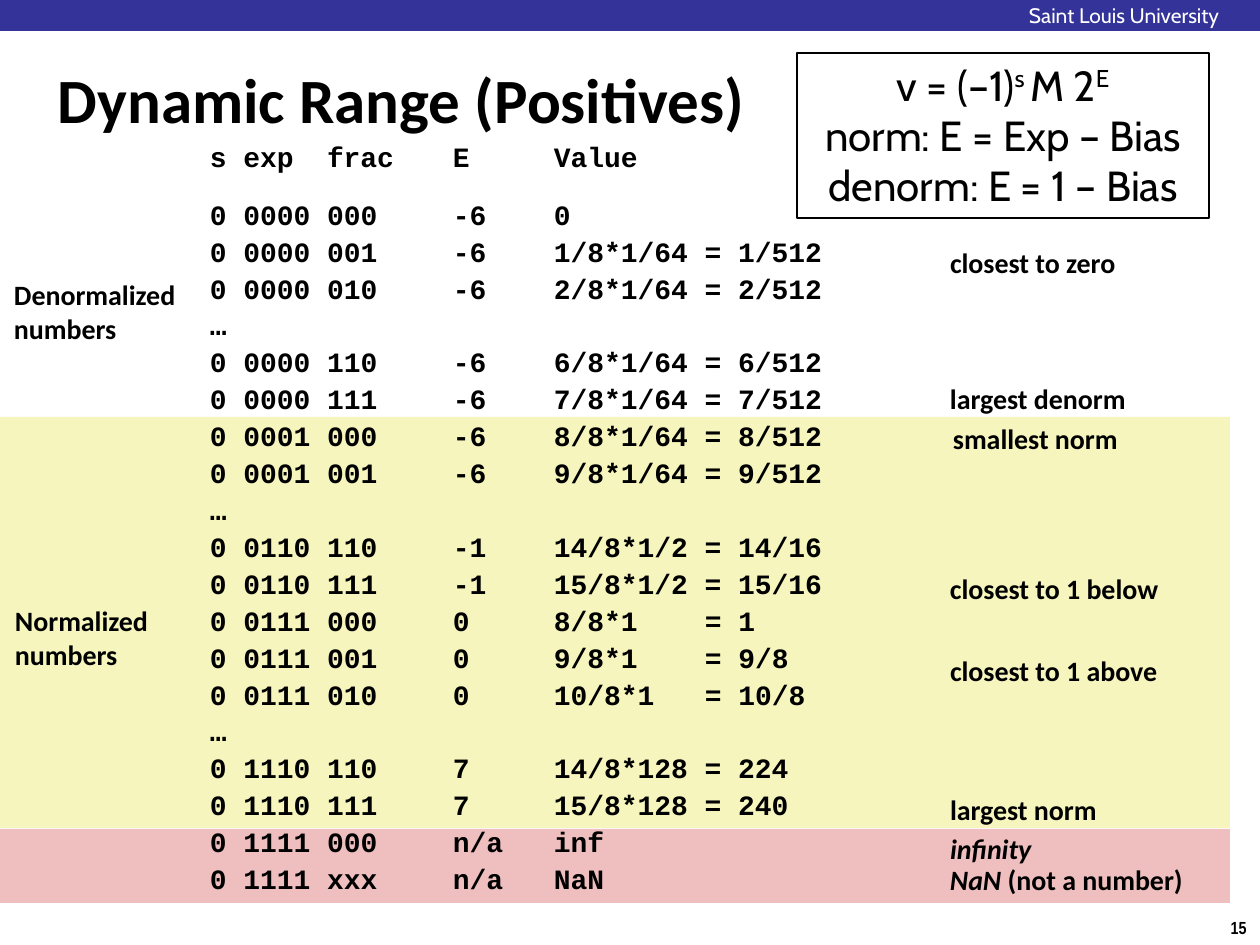
"""Build the slide on the dynamic range of positive floating-point values."""
from lxml.etree import SubElement
from pptx import Presentation
from pptx.dml.color import RGBColor
from pptx.enum.shapes import MSO_SHAPE
from pptx.enum.text import MSO_ANCHOR, MSO_AUTO_SIZE, PP_ALIGN
from pptx.oxml.ns import qn
from pptx.util import Pt

PX = 914400 // 126
COLORS = {"header": "333399", "special": "EFBFBF", "normalized": "F6F5BD",
          "text": "000000", "light": "FFFFFF"}
BANDS = [("header", (0, 0, 1261, 31)),
         ("special", (0, 829, 1230, 74)),
         ("normalized", (0, 417, 1230, 411))]
ROWS = [
    "s exp\tfrac\tE\tValue",
    "0 0000 000\t-6\t0",
    "0 0000 001\t-6\t1/8*1/64 = 1/512",
    "0 0000 010\t-6\t2/8*1/64 = 2/512",
    "…",
    "0 0000 110\t-6\t6/8*1/64 = 6/512",
    "0 0000 111\t-6\t7/8*1/64 = 7/512",
    "0 0001 000\t-6\t8/8*1/64 = 8/512",
    "0 0001 001\t-6\t9/8*1/64 = 9/512",
    "…",
    "0 0110 110\t-1\t14/8*1/2 = 14/16",
    "0 0110 111\t-1\t15/8*1/2 = 15/16",
    "0 0111 000\t0\t8/8*1\t= 1",
    "0 0111 001\t0\t9/8*1\t= 9/8",
    "0 0111 010\t0\t10/8*1\t= 10/8",
    "…",
    "0 1110 110\t7\t14/8*128 = 224",
    "0 1110 111\t7\t15/8*128 = 240",
    "0 1111 000\tn/a\tinf",
    "0 1111 xxx\tn/a\tNaN",
]
TAB_STOPS = [117, 243, 344, 495]
LABELS = [
    ("closest to zero", (945, 241, 209, 44)),
    ("largest denorm", (945, 376, 215, 44)),
    ("smallest norm", (948, 417, 203, 44)),
    ("closest to 1 below", (945, 567, 255, 44)),
    ("closest to 1 above", (945, 649, 256, 44)),
    ("largest norm", (945, 788, 181, 44)),
    ("Denormalized\nnumbers", (9, 273, 195, 78)),
    ("Normalized\nnumbers", (10, 599, 163, 78)),
    ("infinity", (945, 827, 93, 44)),
    ("NaN", (945, 858, 252, 44)),
]
ITALIC_LABELS = {"infinity", "NaN"}
FORMULA = [[("v = (–1)", False), ("s ", True), ("M 2", False), ("E", True)],
           [("norm: E = Exp – Bias", False)],
           [("denorm: E = 1 – Bias", False)]]


def scaled(box):
    return [length * PX for length in box]


def set_insets(frame, inset):
    frame.margin_left = frame.margin_right = inset * PX
    frame.margin_top = frame.margin_bottom = inset * PX


def format_runs(frame, font_name, size, color="text", bold=False, italic=False):
    for paragraph in frame.paragraphs:
        for run in paragraph.runs:
            run.font.name = font_name
            run.font.size = Pt(size)
            run.font.bold = bold
            run.font.italic = italic
            run.font.color.rgb = RGBColor.from_string(COLORS[color])


def add_text(slide, text, box, inset=0, wrap=True):
    frame = slide.shapes.add_textbox(*scaled(box)).text_frame
    frame.word_wrap = wrap
    set_insets(frame, inset)
    frame.text = text
    return frame


def add_rectangle(slide, box, fill=None):
    shape = slide.shapes.add_shape(MSO_SHAPE.RECTANGLE, *scaled(box))
    shape.shadow.inherit = False
    if fill:
        shape.fill.solid()
        shape.fill.fore_color.rgb = RGBColor.from_string(COLORS[fill])
        shape.line.fill.background()
    else:
        shape.fill.background()
        shape.line.color.rgb = RGBColor.from_string(COLORS["text"])
        shape.line.width = Pt(0.75)
    return shape


def add_title(slide):
    title = slide.shapes.title
    title.left, title.top, title.width, title.height = scaled((53, 35, 1155, 127))
    frame = title.text_frame
    frame.text = "Dynamic Range (Positives)"
    frame.auto_size = MSO_AUTO_SIZE.NONE
    frame.vertical_anchor = MSO_ANCHOR.MIDDLE
    set_insets(frame, 5)
    frame.paragraphs[0].alignment = PP_ALIGN.LEFT
    format_runs(frame, "Calibri", 36, bold=True)


def add_rows(slide):
    frame = add_text(slide, "\n".join(ROWS), (210, 136, 640, 766))
    for paragraph in frame.paragraphs:
        paragraph.line_spacing = 1.1
        tab_list = SubElement(paragraph._p.get_or_add_pPr(), qn("a:tabLst"))
        for stop in TAB_STOPS:
            SubElement(tab_list, qn("a:tab"), pos=str(stop * PX), algn="l")
    frame.paragraphs[1].space_before = Pt(12)
    format_runs(frame, "Courier New", 16, bold=True)


def add_labels(slide):
    for text, box in LABELS:
        frame = add_text(slide, text, box, inset=5, wrap=False)
        format_runs(frame, "Calibri", 16, bold=True, italic=text in ITALIC_LABELS)
    explanation = frame.paragraphs[0].add_run()
    explanation.text = " (not a number)"
    format_runs(frame, "Calibri", 16, bold=True)
    frame.paragraphs[0].runs[0].font.italic = True


def add_formula(slide):
    frame = add_rectangle(slide, (797, 53, 412, 165)).text_frame
    frame.vertical_anchor = MSO_ANCHOR.TOP
    for index, parts in enumerate(FORMULA):
        paragraph = frame.add_paragraph() if index else frame.paragraphs[0]
        paragraph.alignment = PP_ALIGN.CENTER
        for text, superscript in parts:
            run = paragraph.add_run()
            run.text = text
            if superscript:
                run._r.get_or_add_rPr().set("baseline", "32000")
    format_runs(frame, "Cabin", 24)


def main():
    presentation = Presentation()
    presentation.slide_width, presentation.slide_height = scaled((1260, 945))
    slide = presentation.slides.add_slide(presentation.slide_layouts[5])
    for color, box in BANDS:
        add_rectangle(slide, box, color)
    university = add_text(slide, "Saint Louis University", (1029, 3, 210, 24))
    format_runs(university, "Cabin", 12, "light")
    number = add_text(slide, "15", (1217, 911, 43, 34), inset=6, wrap=False)
    number.paragraphs[0].alignment = PP_ALIGN.CENTER
    format_runs(number, "Arial Narrow", 10, bold=True)
    add_rows(slide)
    add_title(slide)
    add_labels(slide)
    add_formula(slide)
    presentation.save("out.pptx")


if __name__ == "__main__":
    main()
